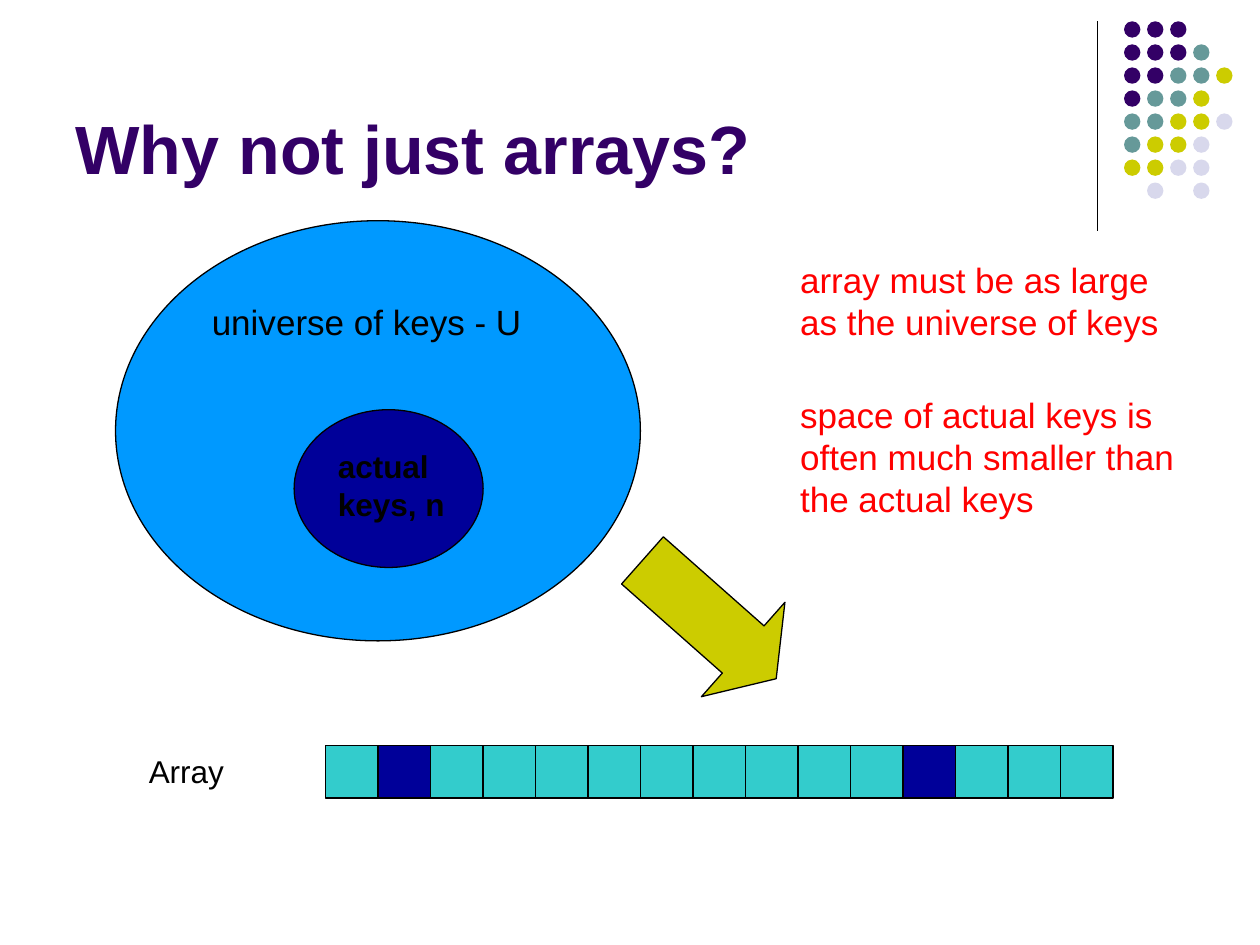
from lxml.etree import SubElement
from pptx import Presentation
from pptx.dml.color import RGBColor
from pptx.enum.shapes import MSO_CONNECTOR, MSO_SHAPE
from pptx.enum.text import MSO_ANCHOR, PP_ALIGN
from pptx.oxml.ns import qn
from pptx.util import Cm, Pt

COLORS = {
    "black": "000000", "red": "FF0000", "purple": "330066",
    "teal": "669999", "olive": "CCCC00", "lilac": "D8D8EC",
    "sky": "0099FF", "navy": "000099", "turquoise": "33CCCC",
}
DOT_COLORS = {"p": "purple", "t": "teal", "o": "olive", "l": "lilac"}
DOT_ROWS = ["ppp", "pppt", "pptto", "ptto", "ttool", "tool", "ooll", " l l"]
DOT_LEFT, DOT_TOP, DOT_SIZE, DOT_PITCH = 22.66, 0.43, 0.33, 3.25 / 7
ARRAY_LEFT, ARRAY_TOP, ARRAY_WIDTH, CELL_COUNT = 6.56, 15.03, 15.88, 15
CELL = ARRAY_WIDTH / CELL_COUNT
USED_CELLS = [1, 11]


def rgb(name):
    return RGBColor.from_string(COLORS[name])


def add_shape(shapes, kind, left, top, width, height, fill, outlined=True):
    sp = shapes.add_shape(kind, Cm(left), Cm(top), Cm(width), Cm(height))
    sp.shadow.inherit = False
    sp.fill.solid()
    sp.fill.fore_color.rgb = rgb(fill)
    if outlined:
        sp.line.color.rgb = rgb("black")
        sp.line.width = Pt(0.75)
    else:
        sp.line.fill.background()
    return sp


def add_vertical_line(shapes, x, top, bottom):
    line = shapes.add_connector(MSO_CONNECTOR.STRAIGHT, Cm(x), Cm(top), Cm(x), Cm(bottom))
    line.line.color.rgb = rgb("black")
    line.line.width = Pt(0.75)
    SubElement(line._element.spPr, qn("a:effectLst"))


def add_run(p, text, size, color, bold=False):
    r = p.add_run()
    r.text = text
    r.font.name = "Arial"
    r.font.size = Pt(size)
    r.font.bold = bold
    r.font.color.rgb = rgb(color)


def add_text(s, left, top, width, height, lines, size, color="black", bold=False):
    tf = s.shapes.add_textbox(Cm(left), Cm(top), Cm(width), Cm(height)).text_frame
    tf.word_wrap = True
    p = tf.paragraphs[0]
    for i, line in enumerate(lines):
        if i:
            p.add_line_break()
        add_run(p, line, size, color, bold)


def set_title(s, text):
    title = s.shapes.title
    title.left, title.top, title.width, title.height = Cm(1.27), Cm(0.33), Cm(20.95), Cm(3.6)
    tf = title.text_frame
    tf.word_wrap = True
    tf.vertical_anchor = MSO_ANCHOR.BOTTOM
    p = tf.paragraphs[0]
    p.alignment = PP_ALIGN.LEFT
    add_run(p, text, 39, "purple", bold=True)


def add_dot_ornament(s):
    add_vertical_line(s.shapes, 22.12, 0.43, 4.65)
    dots = s.shapes.add_group_shape().shapes
    for row, codes in enumerate(DOT_ROWS):
        for col, code in enumerate(codes):
            if code in DOT_COLORS:
                add_shape(dots, MSO_SHAPE.OVAL, DOT_LEFT + col * DOT_PITCH,
                          DOT_TOP + row * DOT_PITCH, DOT_SIZE, DOT_SIZE,
                          DOT_COLORS[code], outlined=False)


def add_array(s):
    cells = s.shapes.add_group_shape().shapes
    add_shape(cells, MSO_SHAPE.RECTANGLE, ARRAY_LEFT, ARRAY_TOP, ARRAY_WIDTH, CELL, "turquoise")
    for i in range(1, CELL_COUNT):
        add_vertical_line(cells, ARRAY_LEFT + i * CELL, ARRAY_TOP, ARRAY_TOP + CELL)
    for i in USED_CELLS:
        add_shape(s.shapes, MSO_SHAPE.RECTANGLE, ARRAY_LEFT + i * CELL, ARRAY_TOP,
                  CELL, CELL, "navy")
    add_text(s, 2.75, ARRAY_TOP, 2.12, 1.02, ["Array"], 18)


def add_key_sets(s):
    add_shape(s.shapes, MSO_SHAPE.OVAL, 2.33, 4.45, 10.58, 8.47, "sky")
    add_shape(s.shapes, MSO_SHAPE.OVAL, 5.93, 8.26, 3.81, 3.18, "navy")
    add_text(s, 6.56, 8.89, 3.6, 1.78, ["actual", "keys, n"], 18, bold=True)
    add_text(s, 4.02, 5.93, 6.99, 1.12, ["universe of keys - U"], 20)


def add_mapping_arrow(s):
    arrow = add_shape(s.shapes, MSO_SHAPE.RIGHT_ARROW, 12.5, 11.22, 3.6, 2.54, "olive")
    arrow.adjustments[0] = 0.5
    arrow.adjustments[1] = 0.35
    arrow.rotation = 41.5


def main():
    prs = Presentation()
    prs.slide_width, prs.slide_height = Cm(25.4), Cm(19.05)
    s = prs.slides.add_slide(prs.slide_layouts[5])
    add_dot_ornament(s)
    set_title(s, "Why not just arrays?")
    add_array(s)
    add_key_sets(s)
    add_mapping_arrow(s)
    add_text(s, 15.88, 5.08, 8.05, 1.96,
             ["array must be as large as the universe of keys"], 20, "red")
    add_text(s, 15.88, 7.8, 8.05, 2.79,
             ["space of actual keys is often much smaller than the actual keys"], 20, "red")
    prs.save("out.pptx")


if __name__ == "__main__":
    main()
